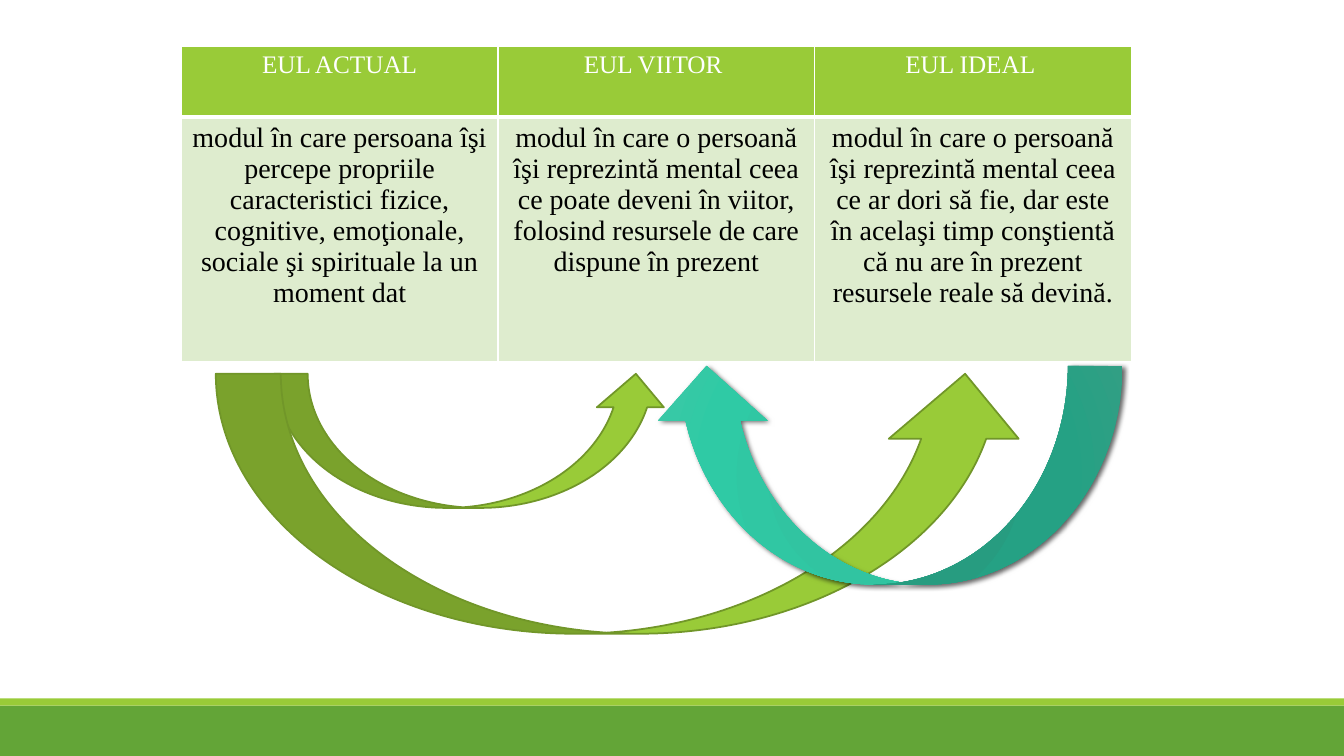
import pptx
import pptx.util
import pptx.dml.color
import pptx.enum.shapes
import pptx.enum.text
import pptx.oxml
import pptx.oxml.ns

Cm, Pt = pptx.util.Cm, pptx.util.Pt
RGB = pptx.dml.color.RGBColor.from_string
Kind = pptx.enum.shapes.MSO_SHAPE
Align = pptx.enum.text.PP_ALIGN
NS = pptx.oxml.ns.nsdecls("a")


class Theme:
    font = "Times New Roman"
    head_size, body_size = 18, 20
    white, black = "FFFFFF", "000000"
    green, pale = "99CB38", "DEECCE"
    dark, edge = "63A537", "719629"
    teal = [(0, "2EC5A1"), (34, "31C4A1"), (70, "2FCAA5"), (100, "3EC7A6")]


def write(frame, text, size, color, align=Align.CENTER):
    para = frame.paragraphs[0]
    para.alignment = align
    run = para.add_run()
    run.text = text
    run.font.name = Theme.font
    run.font.size = Pt(size)
    run.font.color.rgb = RGB(color)


def draw(kind, box, fill=None, line=None):
    shape = slide.shapes.add_shape(kind, *[Cm(v) for v in box])
    shape.shadow.inherit = False
    if fill:
        shape.fill.solid()
        shape.fill.fore_color.rgb = RGB(fill)
    if line:
        shape.line.color.rgb = RGB(line)
        shape.line.width = Pt(1.25)
    else:
        shape.line.fill.background()
    return shape


deck = pptx.Presentation()
deck.slide_width, deck.slide_height = Cm(33.87), Cm(19.05)
slide = deck.slides.add_slide(deck.slide_layouts[6])

# Footer bands
draw(Kind.RECTANGLE, (0, 17.78, 33.87, 1.27), Theme.dark)
draw(Kind.RECTANGLE, (0, 17.6, 33.87, 0.18), Theme.green)

# Table of the three selves
cols = [
    ("EUL ACTUAL",
     "modul în care persoana îşi percepe propriile caracteristici fizice, "
     "cognitive, emoţionale, sociale şi spirituale la un moment dat"),
    ("EUL VIITOR ",
     "modul în care o persoană îşi reprezintă mental ceea ce poate deveni "
     "în viitor, folosind resursele de care dispune în prezent"),
    ("EUL IDEAL ",
     "modul în care o persoană îşi reprezintă mental ceea ce ar dori să fie, "
     "dar este în acelaşi timp conştientă că nu are în prezent resursele "
     "reale să devină."),
]
rows = [  # height, fill, type size, type colour, bottom border
    (1.78, Theme.green, Theme.head_size, Theme.white, 3),
    (6.17, Theme.pale, Theme.body_size, Theme.black, 1),
]
table = slide.shapes.add_table(
    2, 3, Cm(4.57), Cm(1.17), Cm(23.94), Cm(7.95)).table
table.horz_banding = False
for col in table.columns:
    col.width = Cm(7.98)
for r, (height, fill, size, color, base) in enumerate(rows):
    table.rows[r].height = Cm(height)
    for c, texts in enumerate(cols):
        cell = table.cell(r, c)
        props = cell._tc.get_or_add_tcPr()
        for side, width in zip("LRTB", (1, 1, 1, base)):
            props.append(pptx.oxml.parse_xml(
                f'<a:ln{side} {NS} w="{Pt(width)}"><a:solidFill>'
                f'<a:srgbClr val="{Theme.white}"/></a:solidFill></a:ln{side}>'))
        cell.fill.solid()
        cell.fill.fore_color.rgb = RGB(fill)
        write(cell.text_frame, texts[r], size, color)

# Green arrows from the actual self
for box in ((6.91, 9.42, 9.96, 3.38), (5.44, 9.42, 20.52, 6.55)):
    draw(Kind.CURVED_UP_ARROW, box, Theme.green, Theme.edge)

# Teal arrow from the ideal self, mirrored, with gradient and shadow
teal = draw(Kind.CURVED_UP_ARROW, (16.43, 9.22, 11.86, 5.51))
props = teal._element.spPr
props.xfrm.set("flipH", "1")
stops = "".join(f'<a:gs pos="{pos * 1000}"><a:srgbClr val="{color}"/></a:gs>'
                for pos, color in Theme.teal)
props.find(pptx.oxml.ns.qn("a:prstGeom")).addnext(pptx.oxml.parse_xml(
    f'<a:gradFill {NS}><a:gsLst>{stops}</a:gsLst><a:path path="circle">'
    '<a:fillToRect l="100000" t="100000" r="100000" b="100000"/>'
    '</a:path></a:gradFill>'))
props.find(pptx.oxml.ns.qn("a:effectLst")).append(pptx.oxml.parse_xml(
    f'<a:outerShdw {NS} blurRad="{Pt(3.5)}" dist="{Pt(2)}" dir="2700000">'
    f'<a:srgbClr val="{Theme.black}"><a:alpha val="60000"/></a:srgbClr>'
    '</a:outerShdw>'))

deck.save("out.pptx")
